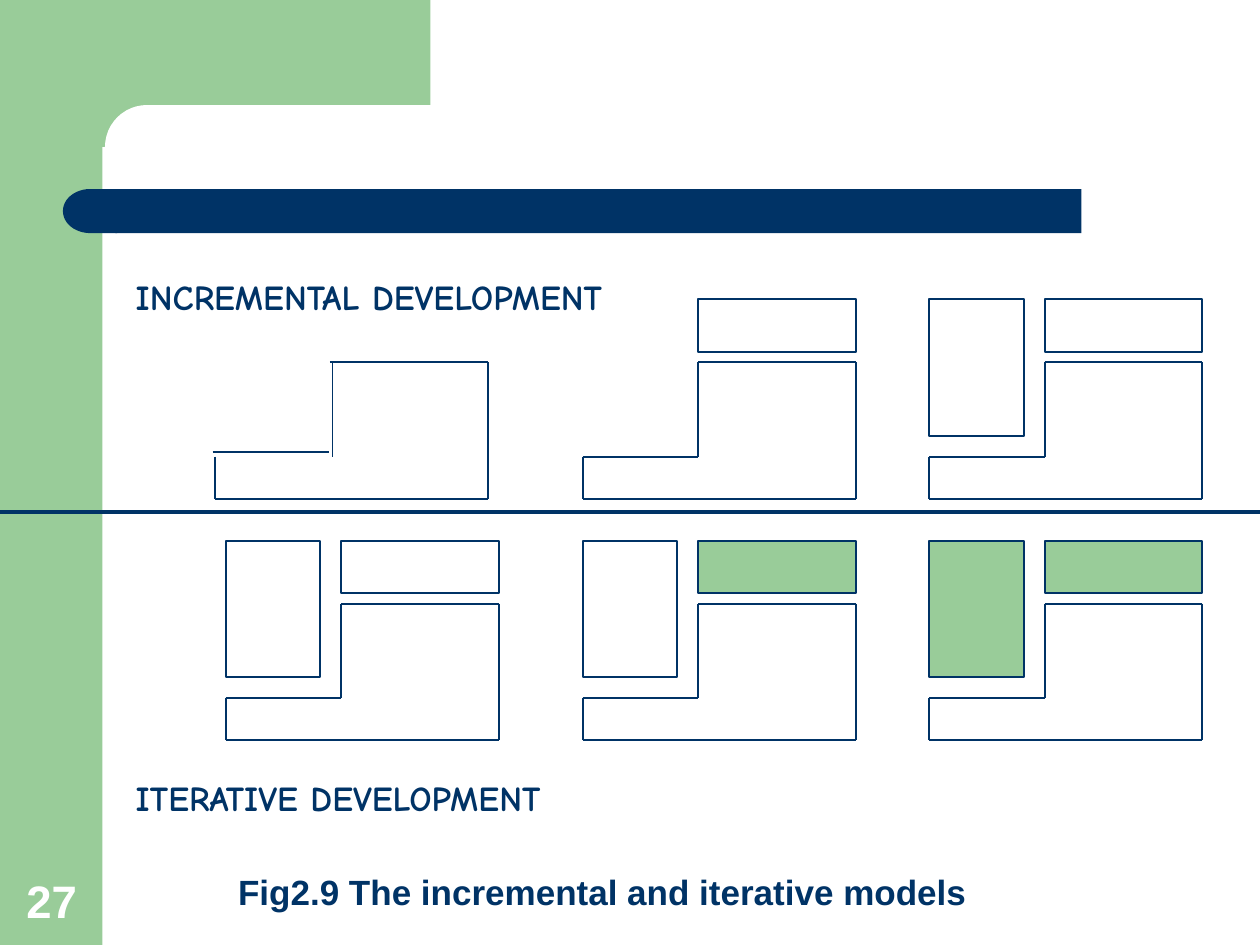
"""Build the slide comparing incremental and iterative development."""
from pptx import Presentation
from pptx.dml.color import RGBColor
from pptx.enum.shapes import MSO_CONNECTOR as CONNECTOR, MSO_SHAPE as SHAPE
from pptx.enum.text import MSO_ANCHOR as ANCHOR
from pptx.oxml.ns import qn
from pptx.util import Pt
from lxml.etree import SubElement

GREEN, NAVY, WHITE = "99CC99", "003366", "FFFFFF"
color = RGBColor.from_string


def add_block(kind, left, top, width, height, fill=None, line=None):
    block = slide.shapes.add_shape(kind, Pt(left), Pt(top), Pt(width), Pt(height))
    block.shadow.inherit = False
    if fill:
        block.fill.solid()
        block.fill.fore_color.rgb = color(fill)
    else:
        block.fill.background()
    if line:
        block.line.color.rgb = color(line)
        block.line.width = Pt(1)
    else:
        block.line.fill.background()
    return block


def add_edge(x1, y1, x2, y2, width=1):
    edge = slide.shapes.add_connector(CONNECTOR.STRAIGHT, Pt(x1), Pt(y1), Pt(x2), Pt(y2))
    edge.line.color.rgb = color(NAVY)
    edge.line.width = Pt(width)
    SubElement(edge._element.spPr, qn("a:effectLst"))


deck = Presentation()
deck.slide_width, deck.slide_height = Pt(720), Pt(540)
slide = deck.slides.add_slide(deck.slide_layouts[6])

add_block(SHAPE.RECTANGLE, 0, 0, 58.5, 540, GREEN)
add_block(SHAPE.RECTANGLE, 52.5, 0, 193.5, 84, GREEN)
inner_corner = add_block(SHAPE.ROUNDED_RECTANGLE, 60, 60, 402, 48, WHITE)
inner_corner.adjustments[0] = 0.5
add_block(SHAPE.RECTANGLE, 66, 108, 552, 25.2, NAVY)
bar_cap = add_block(SHAPE.FLOWCHART_DELAY, 36, 108, 31, 25.2, NAVY)
bar_cap._element.spPr.xfrm.set("flipH", "1")

INCREMENTAL_TOP, ITERATIVE_TOP = 171, 309
FIRST, SECOND, THIRD = 129, 333, 531
stages = [
    (SECOND, INCREMENTAL_TOP, False, True, None, None),
    (THIRD, INCREMENTAL_TOP, True, True, None, None),
    (FIRST, ITERATIVE_TOP, True, True, None, None),
    (SECOND, ITERATIVE_TOP, True, True, None, GREEN),
    (THIRD, ITERATIVE_TOP, True, True, GREEN, GREEN),
]
for left, top, has_tall, has_wide, tall_fill, wide_fill in stages:
    if has_tall:
        add_block(SHAPE.RECTANGLE, left, top, 54, 78, tall_fill, NAVY)
    if has_wide:
        add_block(SHAPE.RECTANGLE, left + 66, top, 90, 30, wide_fill, NAVY)
    step, right = left + 66, left + 156
    upper, ledge, bottom = top + 36, top + 90, top + 114
    corners = [(left, ledge), (step, ledge), (step, upper),
               (right, upper), (right, bottom), (left, bottom)]
    for start, end in zip(corners, corners[1:] + corners[:1]):
        add_edge(*start, *end)

first_increment = [
    (190, 207, 190, 261),
    (121.5, 258.5, 188, 258.5),
    (188.5, 207, 279, 207),
    (279, 207, 279, 285),
    (123, 261, 123, 285),
    (123, 285, 279, 285),
]
for ends in first_increment:
    add_edge(*ends)

add_edge(0, 292.5, 720, 292.5, 2.25)

captions = [
    ("27", 8, 495.5, 46, 38, "Arial", 26, WHITE, ANCHOR.BOTTOM, 1),
    ("Fig2.9 The incremental and iterative models",
     129, 483, 560, 42.5, "Arial", 20, NAVY, ANCHOR.BOTTOM, 0.9),
    ("INCREMENTAL DEVELOPMENT", 70.5, 154, 354, 31, "Comic Neue", 20, NAVY, ANCHOR.TOP, 1),
    ("ITERATIVE DEVELOPMENT", 70.5, 440, 354, 31, "Comic Neue", 20, NAVY, ANCHOR.TOP, 1),
]
for words, left, top, width, height, face, size, ink, anchor, spacing in captions:
    frame = slide.shapes.add_textbox(Pt(left), Pt(top), Pt(width), Pt(height)).text_frame
    frame.word_wrap = True
    frame.vertical_anchor = anchor
    frame.text = words
    paragraph = frame.paragraphs[0]
    paragraph.line_spacing = float(spacing)
    font = paragraph.runs[0].font
    font.name, font.size, font.bold = face, Pt(size), True
    font.color.rgb = color(ink)

deck.save("out.pptx")
